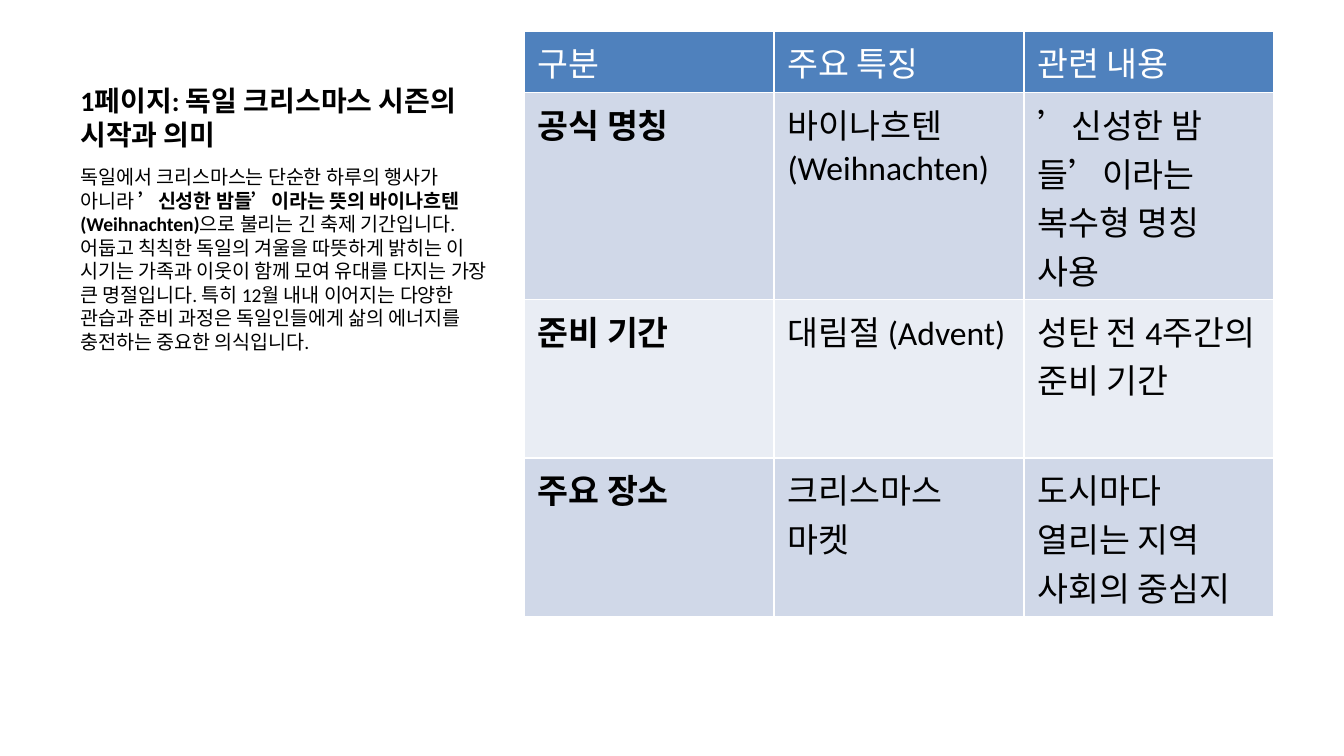
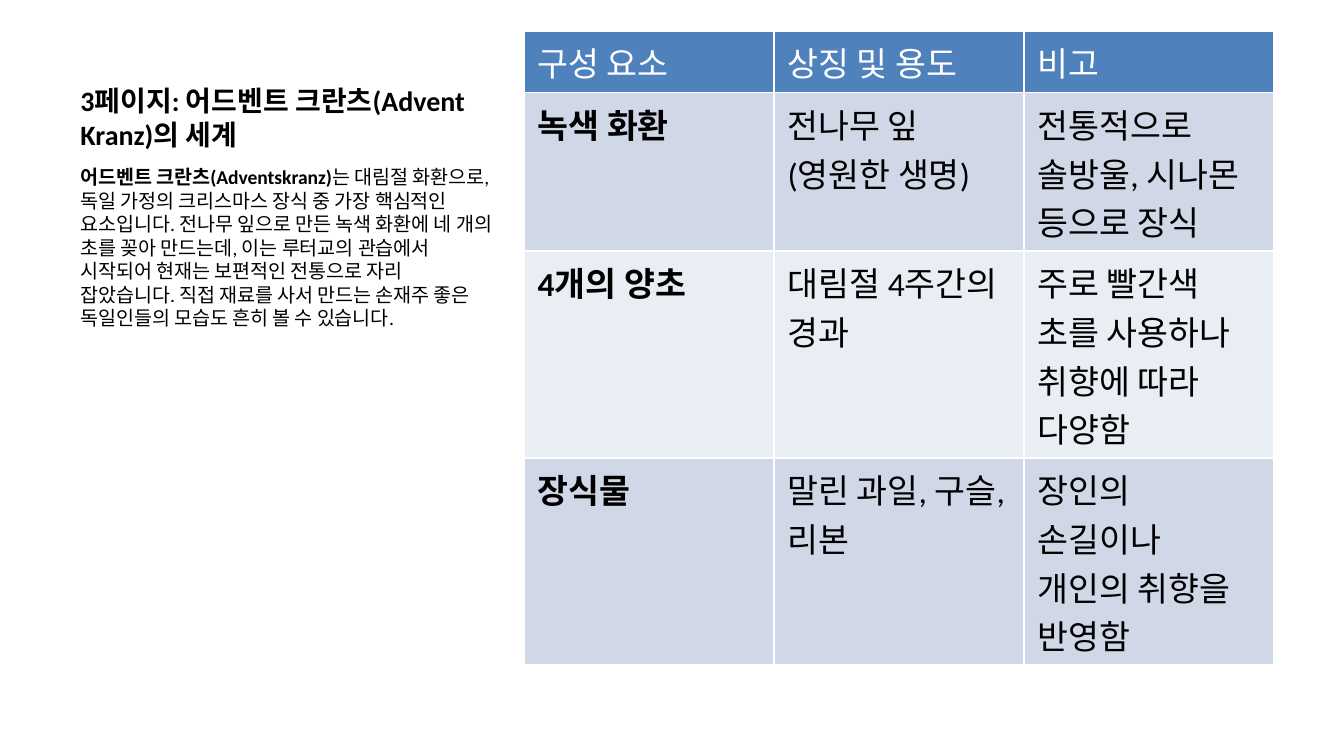
import pptx
import pptx.util
import pptx.dml.color
import pptx.enum.text
import pptx.oxml
import pptx.oxml.ns

Inches = pptx.util.Inches
Pt = pptx.util.Pt

COLORS = {
    "text": "000000",
    "white": "FFFFFF",
    "header": "4F81BD",
    "band_dark": "D0D8E8",
    "band_light": "E9EDF4",
}
FONT = "Calibri"
TITLE_BOX = (0.5, 0.22, 3.29, 0.95)
BODY_BOX = (0.5, 1.18, 3.29, 3.85)
TABLE_BOX = (3.9, 0.23, 5.58, 4.79)
ROW_PADDING = 0.1
ROW_LINE = 0.36

SLIDES = [
    {
        "title": "1페이지: 독일 크리스마스 시즌의 시작과 의미",
        "body": [
            ("독일에서 크리스마스는 단순한 하루의 행사가 아니라 ", False),
            ("’신성한 밤들’이라는 뜻의 바이나흐텐(Weihnachten)", True),
            ("으로 불리는 긴 축제 기간입니다. 어둡고 칙칙한 독일의 겨울을 따뜻하게 "
             "밝히는 이 시기는 가족과 이웃이 함께 모여 유대를 다지는 가장 큰 명절입니다. "
             "특히 12월 내내 이어지는 다양한 관습과 준비 과정은 독일인들에게 삶의 "
             "에너지를 충전하는 중요한 의식입니다.", False),
        ],
        "table": [
            ("구분", "주요 특징", "관련 내용"),
            ("공식 명칭", "바이나흐텐 (Weihnachten)", "’신성한 밤들’이라는 복수형 명칭 사용"),
            ("준비 기간", "대림절 (Advent)", "성탄 전 4주간의 준비 기간"),
            ("주요 장소", "크리스마스 마켓", "도시마다 열리는 지역 사회의 중심지"),
        ],
        "row_lines": (1, 4, 3, 3),
    },
    {
        "title": "3페이지: 어드벤트 크란츠(Advent Kranz)의 세계",
        "body": [
            ("어드벤트 크란츠(Adventskranz)", True),
            ("는 대림절 화환으로, 독일 가정의 크리스마스 장식 중 가장 핵심적인 "
             "요소입니다. 전나무 잎으로 만든 녹색 화환에 네 개의 초를 꽂아 만드는데, "
             "이는 루터교의 관습에서 시작되어 현재는 보편적인 전통으로 자리 잡았습니다. "
             "직접 재료를 사서 만드는 손재주 좋은 독일인들의 모습도 흔히 볼 수 있습니다.", False),
        ],
        "table": [
            ("구성 요소", "상징 및 용도", "비고"),
            ("녹색 화환", "전나무 잎 (영원한 생명)", "전통적으로 솔방울, 시나몬 등으로 장식"),
            ("4개의 양초", "대림절 4주간의 경과", "주로 빨간색 초를 사용하나 취향에 따라 다양함"),
            ("장식물", "말린 과일, 구슬, 리본", "장인의 손길이나 개인의 취향을 반영함"),
        ],
        "row_lines": (1, 3, 4, 4),
    },
]


def rgb(name):
    """Return the named colour."""
    return pptx.dml.color.RGBColor.from_string(COLORS[name])


def add_run(p, text, size, bold=False, color="text"):
    """Add one styled run to a paragraph."""
    r = p.add_run()
    r.text = text
    r.font.name = FONT
    r.font.size = Pt(size)
    r.font.bold = bold
    r.font.color.rgb = rgb(color)


def add_text(slide, box, runs, size, anchor):
    """Place a wrapped paragraph of runs in the given box."""
    sp = slide.shapes.add_textbox(*map(Inches, box))
    tf = sp.text_frame
    tf.word_wrap = True
    tf.vertical_anchor = anchor
    for text, bold in runs:
        add_run(tf.paragraphs[0], text, size, bold)


def set_borders(cell):
    """Give a cell thin white borders."""
    tc_pr = cell._tc.get_or_add_tcPr()
    for side in "LRTB":
        tc_pr.append(pptx.oxml.parse_xml(
            f'<a:ln{side} {pptx.oxml.ns.nsdecls("a")} w="{Pt(1)}"><a:solidFill>'
            f'<a:srgbClr val="{COLORS["white"]}"/></a:solidFill></a:ln{side}>'))


def add_summary_table(slide, box, rows, row_lines):
    """Build the banded summary table, with rows as tall as their lines of text."""
    left, top, width, height = map(Inches, box)
    frame = slide.shapes.add_table(len(rows), len(rows[0]), left, top, width, height)
    for i, (row, lines) in enumerate(zip(rows, row_lines)):
        is_header = i == 0
        fill = "header" if is_header else ("band_light", "band_dark")[i % 2]
        frame.table.rows[i].height = Inches(ROW_PADDING + ROW_LINE * lines)
        for j, text in enumerate(row):
            cell = frame.table.cell(i, j)
            set_borders(cell)
            cell.fill.solid()
            cell.fill.fore_color.rgb = rgb(fill)
            add_run(cell.text_frame.paragraphs[0], text, 18,
                    bold=j == 0 and not is_header,
                    color="white" if is_header else "text")
    frame.height = height


def add_topic_slide(prs, topic):
    """Build a slide with title and body on the left and a table on the right."""
    slide = prs.slides.add_slide(prs.slide_layouts[6])
    anchors = pptx.enum.text.MSO_ANCHOR
    add_text(slide, TITLE_BOX, [(topic["title"], True)], 15, anchors.BOTTOM)
    add_text(slide, BODY_BOX, topic["body"], 10.5, anchors.TOP)
    add_summary_table(slide, TABLE_BOX, topic["table"], topic["row_lines"])


def main():
    """Build and save the presentation."""
    prs = pptx.Presentation()
    prs.slide_width = Inches(10)
    prs.slide_height = prs.slide_width * 9 // 16
    for topic in SLIDES:
        add_topic_slide(prs, topic)
    prs.save("out.pptx")


if __name__ == "__main__":
    main()
